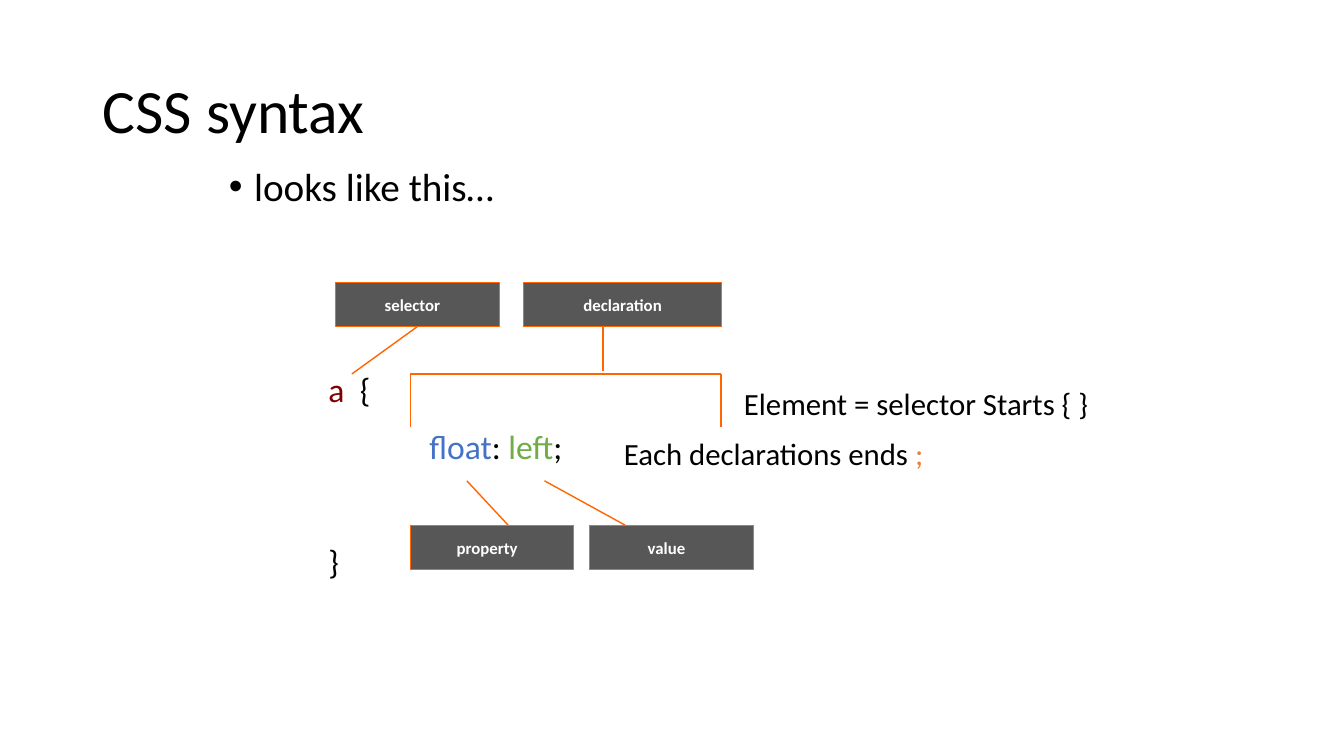
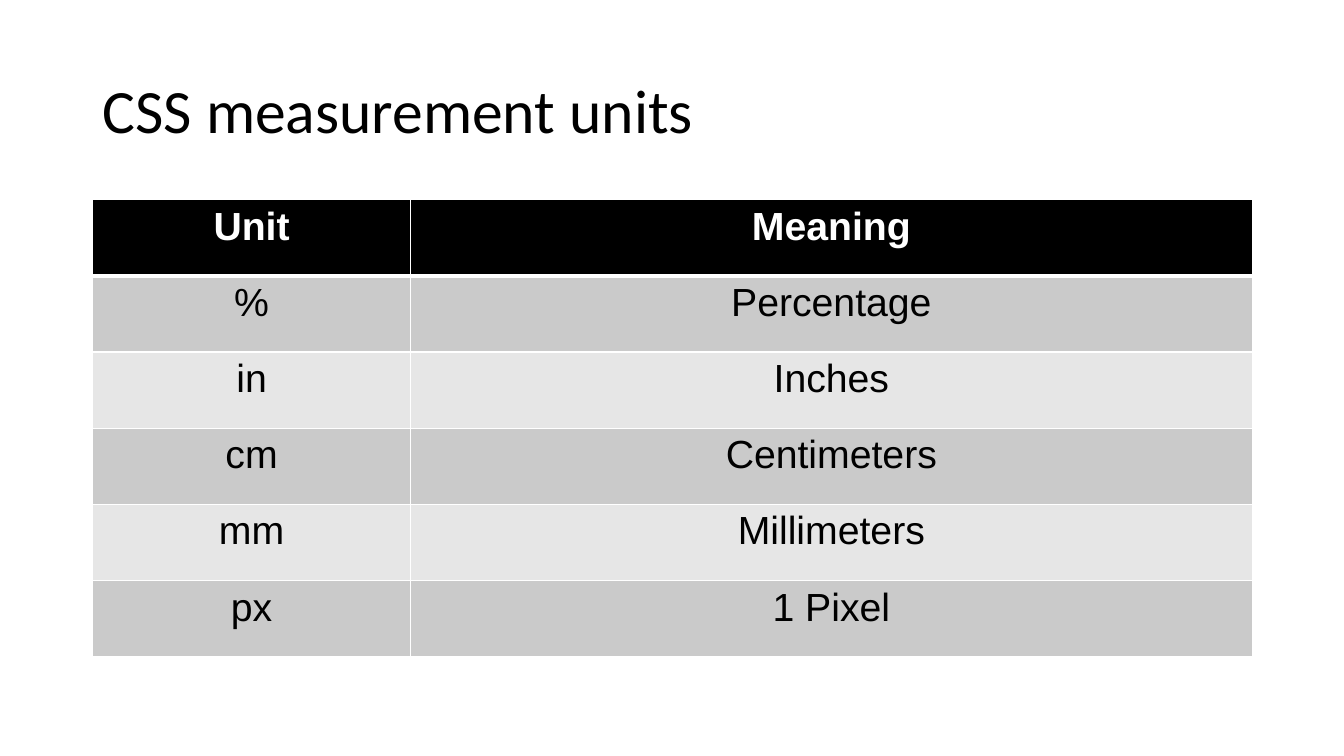
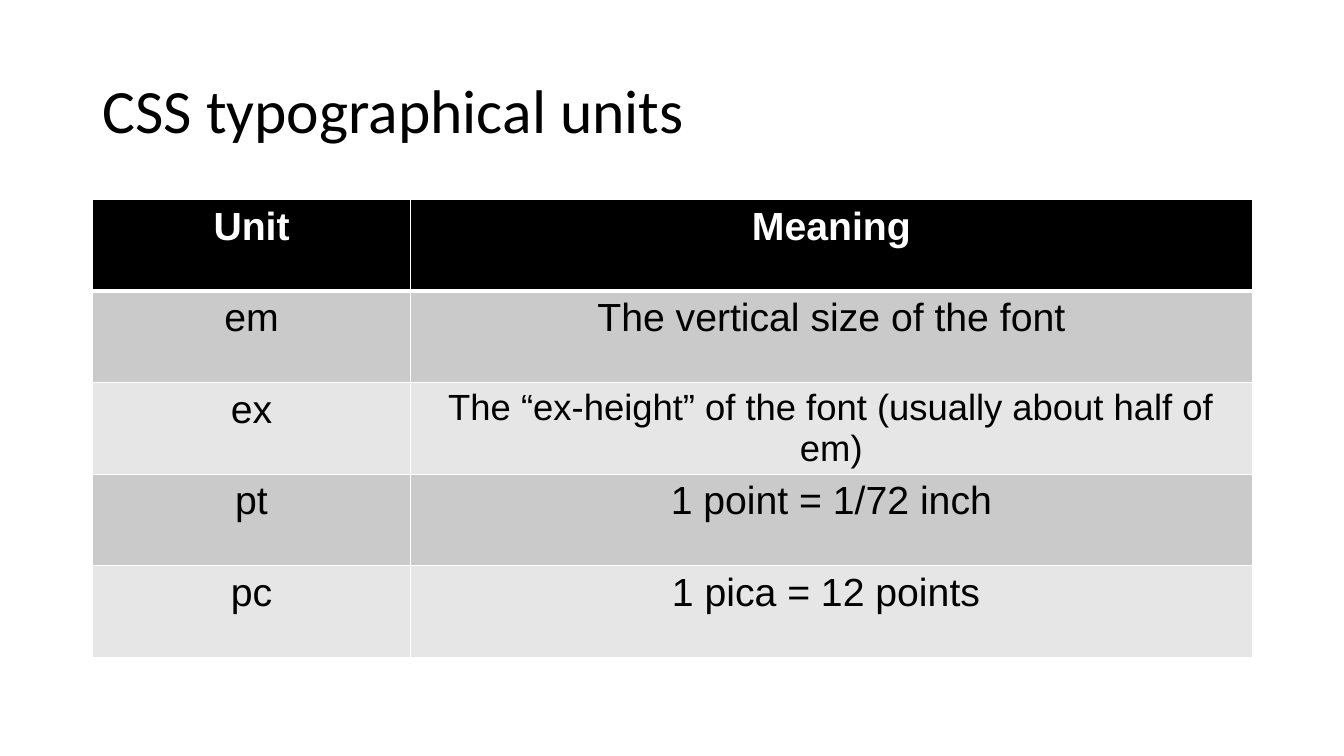
"""Build three slides about CSS syntax and units."""
from lxml import etree
from pptx import Presentation, util as u
from pptx.dml import color as c
from pptx.enum import shapes as s, text as t
from pptx.oxml import ns

BLACK, WHITE, ORANGE = "000000", "FFFFFF", "FF6600"
HEAD, BANDS = BLACK, ("CACACA", "E6E6E6")
LEFT, WIDTH = 0.92, 11.5
TABLE_TOP, TABLE_HIGH, COLS = 1.98, 4.54, (3.15, 8.35)
TAG_HIGH, TOP_ROW, LOW_ROW = 0.44, 2.8, 5.21
INSET = 0.1


def rgb(code):
    """Return the colour of a hex string."""
    return c.RGBColor.from_string(code)


def box(*lens):
    """Return lengths in inches."""
    return [u.Inches(n) for n in lens]


def sub(node, tag, **attrs):
    """Add an XML child and return it."""
    return etree.SubElement(node, ns.qn(tag), attrs)


def write(frame, *lines, size=24, font="Calibri", color=BLACK, bold=False,
          align=t.PP_ALIGN.LEFT, anchor=t.MSO_ANCHOR.TOP, space=None, left=INSET):
    """Fill a frame with lines, each a string or a list of (text, colour) runs."""
    frame.word_wrap = True
    frame.auto_size = t.MSO_AUTO_SIZE.NONE
    frame.vertical_anchor = anchor
    frame.margin_left, frame.margin_right = box(left, INSET)
    frame.margin_top, frame.margin_bottom = box(0.05, 0.05)
    for i, line in enumerate(lines):
        para = frame.add_paragraph() if i else frame.paragraphs[0]
        para.alignment = align
        para.space_before = u.Pt(0)
        if space:
            para.line_spacing = space
        for words, tint in [(line, color)] if isinstance(line, str) else line:
            run = para.add_run()
            run.text = words
            run.font.size, run.font.name, run.font.bold = u.Pt(size), font, bold
            run.font.color.rgb = rgb(tint)


def place(shape, left, top, width, height):
    """Move and size a placeholder."""
    shape.left, shape.top, shape.width, shape.height = box(left, top, width, height)


def page(deck, title, layout=5):
    """Add a slide with the shared title style."""
    slide = deck.slides.add_slide(deck.slide_layouts[layout])
    place(slide.shapes.title, LEFT, 0.4, WIDTH, 1.45)
    write(slide.shapes.title.text_frame, title, size=44, space=0.9,
          anchor=t.MSO_ANCHOR.MIDDLE)
    return slide


def bullet(slide, words):
    """Put one bulleted line in the body placeholder."""
    body = slide.placeholders[1]
    place(body, 2.17, 1.61, 9, 0.99)
    write(body.text_frame, words, size=28, space=0.9)
    props = body.text_frame.paragraphs[0]._p.get_or_add_pPr()
    props.set("marL", str(u.Inches(0.25)))
    props.set("indent", str(u.Inches(-0.25)))
    sub(props, "a:buFont", typeface="Arial")
    sub(props, "a:buChar", char="•")


def note(slide, area, *lines, **form):
    """Add a text box and return its frame."""
    frame = slide.shapes.add_textbox(*box(*area)).text_frame
    write(frame, *lines, **form)
    return frame


def tag(slide, words, left, top, width=1.62, inset=0):
    """Add a dark label with an orange edge."""
    shape = slide.shapes.add_shape(s.MSO_SHAPE.RECTANGLE,
                                   *box(left, top, width, TAG_HIGH))
    shape.shadow.inherit = False
    shape.fill.solid()
    shape.fill.fore_color.rgb = rgb(BLACK)
    tint = shape._element.spPr.find(".//" + ns.qn("a:srgbClr"))
    sub(tint, "a:alpha", val="66000")
    shape.line.color.rgb = rgb(ORANGE)
    shape.line.width = u.Pt(0.75)
    write(shape.text_frame, words, size=12, color=WHITE, bold=True, left=inset,
          align=t.PP_ALIGN.CENTER, anchor=t.MSO_ANCHOR.MIDDLE)


def rule(slide, *ends):
    """Draw a thin orange line."""
    line = slide.shapes.add_connector(s.MSO_CONNECTOR.STRAIGHT, *box(*ends))
    line.line.color.rgb = rgb(ORANGE)
    line.line.width = u.Pt(1)
    sub(line._element.spPr, "a:effectLst")


def edge(cell, **widths):
    """Draw white cell borders of the given point widths."""
    props = cell._tc.get_or_add_tcPr()
    for i, side in enumerate("LRTB"):
        line = etree.Element(ns.qn("a:ln" + side), w=str(u.Pt(widths.get(side, 1))))
        sub(sub(line, "a:solidFill"), "a:srgbClr", val=WHITE)
        props.insert(i, line)


def grid(slide, rows, sizes=None):
    """Add a banded table of units; sizes maps a text to its own size."""
    rows = [("Unit", "Meaning"), *rows]
    table = slide.shapes.add_table(
        len(rows), len(COLS), *box(LEFT, TABLE_TOP, WIDTH, TABLE_HIGH)).table
    for col, width in zip(table.columns, COLS):
        col.width = u.Inches(width)
    for i, row in enumerate(rows):
        table.rows[i].height = u.Inches(TABLE_HIGH / len(rows))
        for j, words in enumerate(row):
            cell = table.cell(i, j)
            cell.fill.solid()
            cell.fill.fore_color.rgb = rgb(BANDS[(i - 1) % 2] if i else HEAD)
            edge(cell, T=3 if i == 1 else 1, B=1 if i else 3)
            write(cell.text_frame, words, size=(sizes or {}).get(words, 28),
                  font="Arial", color=BLACK if i else WHITE, bold=not i,
                  align=t.PP_ALIGN.CENTER)


def syntax(deck):
    """Build the labelled rule diagram."""
    slide = page(deck, "CSS syntax", layout=1)
    bullet(slide, "looks like this…")
    code = note(slide, (3.16, 3.61, 5.14, 2.32),
                [("a", "800000"), ("  {", BLACK)],
                [("float", "4472C4"), (": ", BLACK), ("left", "70AD47"), (";", BLACK)],
                "}")
    inner, close = code.paragraphs[1:]
    inner.space_before, close.space_before = u.Pt(12), u.Pt(53)
    inner._p.get_or_add_pPr().set("marL", str(u.Inches(1)))
    tag(slide, "selector", 3.33, TOP_ROW)
    tag(slide, "declaration", 5.19, TOP_ROW, width=1.97, inset=INSET)
    tag(slide, "property", 4.07, LOW_ROW)
    tag(slide, "value", 5.85, LOW_ROW)
    for ends in ((4.14, 3.24, 3.49, 3.71), (5.98, 3.24, 5.98, 3.68),
                 (4.07, 3.71, 7.15, 3.71), (7.15, 4.24, 7.15, 3.71),
                 (4.07, 4.24, 4.07, 3.71), (4.63, 4.77, 5.04, LOW_ROW),
                 (5.4, 4.77, 6.2, LOW_ROW)):
        rule(slide, *ends)
    note(slide, (7.28, 3.39, 3.89, 1.21), "Element = selector Starts { }",
         size=22, anchor=t.MSO_ANCHOR.MIDDLE)
    note(slide, (6.09, 4.26, 3.22, 0.47),
         [("Each declarations ends ", BLACK), (";", "ED7D31")], size=22)


def main():
    """Build and save the deck."""
    deck = Presentation()
    deck.slide_width, deck.slide_height = box(13.33, 7.5)
    syntax(deck)
    grid(page(deck, "CSS measurement units"),
         [("%", "Percentage"), ("in", "Inches"), ("cm", "Centimeters"),
          ("mm", "Millimeters"), ("px", "1 Pixel")])
    height = "The “ex-height” of the font (usually about half of em)"
    grid(page(deck, "CSS typographical units"),
         [("em", "The vertical size of the font"), ("ex", height),
          ("pt", "1 point = 1/72 inch"), ("pc", "1 pica = 12 points ")],
         sizes={height: 26})
    deck.save("out.pptx")


main()
